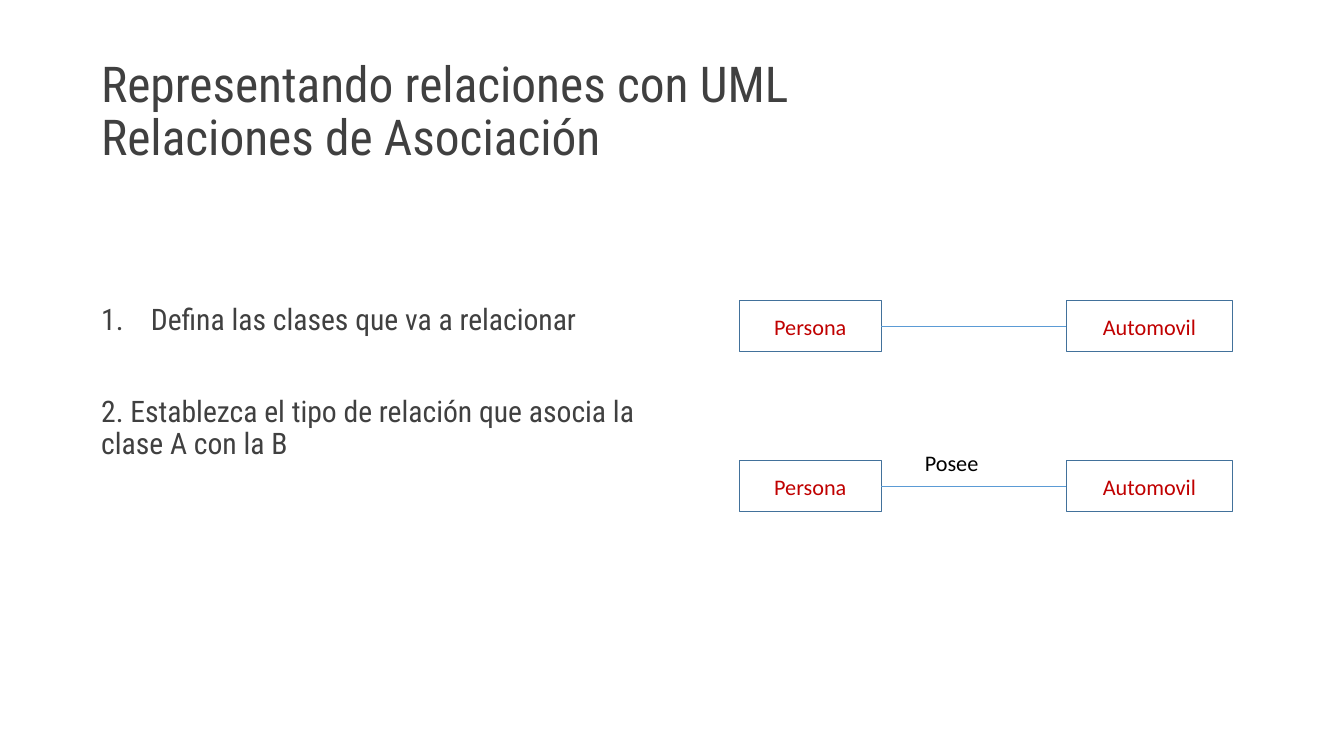
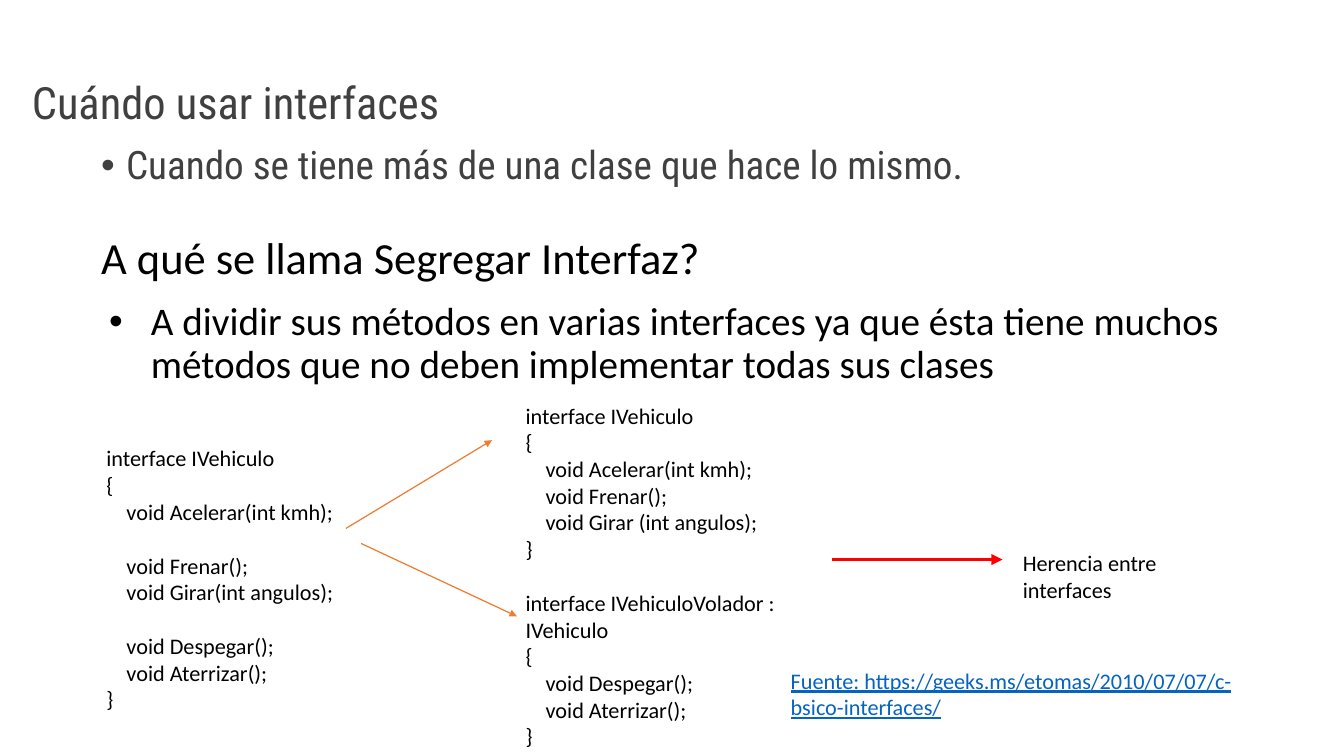
from dataclasses import dataclass

from lxml import etree
from pptx import Presentation
from pptx.dml.color import RGBColor
from pptx.enum.shapes import MSO_CONNECTOR, MSO_SHAPE
from pptx.enum.text import MSO_ANCHOR, PP_ALIGN
from pptx.oxml.ns import qn
from pptx.slide import Slide
from pptx.text.text import TextFrame
from pptx.util import Cm, Pt

RECT = MSO_SHAPE.RECTANGLE
STRAIGHT = MSO_CONNECTOR.STRAIGHT
TOP, MIDDLE = MSO_ANCHOR.TOP, MSO_ANCHOR.MIDDLE
LEFT, CENTER = PP_ALIGN.LEFT, PP_ALIGN.CENTER


@dataclass(frozen=True)
class Theme:
    head: str = "Roboto Condensed"
    body: str = "Calibri"
    gray: str = "404040"
    black: str = "000000"
    white: str = "FFFFFF"
    wine: str = "C00000"
    edge: str = "42719B"
    blue: str = "5B9BD5"
    orange: str = "ED7D31"
    red: str = "FF0000"
    link: str = "0563C1"
    title: float = 40
    topic: float = 36
    point: float = 31.7
    step: float = 24
    small: float = 18
    tight: float = 0.9


THEME = Theme()


@dataclass(frozen=True)
class Style:
    size: float
    font: str = THEME.body
    color: str = THEME.black
    under: bool = False
    space: float = 1.0


@dataclass(frozen=True)
class Para:
    text: str
    gap: float = 0
    mark: str = ""
    indent: float = 0
    hang: float = 0
    align: PP_ALIGN = LEFT


@dataclass(frozen=True)
class Box:
    left: float
    top: float
    width: float
    height: float


@dataclass(frozen=True)
class Line:
    start: tuple[float, float]
    end: tuple[float, float]
    color: str
    width: float
    arrow: bool = True


TITLE = Style(THEME.title, THEME.head, THEME.gray, space=THEME.tight)
TOPIC = Style(THEME.topic, THEME.head, THEME.gray, space=THEME.tight)
POINT = Style(THEME.point, THEME.head, THEME.gray, space=THEME.tight)
STEP = Style(THEME.step, THEME.head, THEME.gray, space=THEME.tight)
ASK = Style(THEME.topic, space=THEME.tight)
REPLY = Style(THEME.point, space=THEME.tight)
SMALL = Style(THEME.small)
NAME = Style(THEME.small, color=THEME.wine)
LINK = Style(THEME.small, color=THEME.link, under=True)


def rgb(code: str) -> RGBColor:
    return RGBColor.from_string(code)


def set_mark(props: etree._Element, mark: str) -> None:
    """Give a paragraph a number ("1.") or a bullet sign."""
    if mark == "1.":
        etree.SubElement(props, qn("a:buFont"), typeface="+mj-lt")
        etree.SubElement(props, qn("a:buAutoNum"), type="arabicPeriod")
    else:
        etree.SubElement(props, qn("a:buFont"), typeface="Arial")
        etree.SubElement(props, qn("a:buChar"), char=mark)


def write(frame: TextFrame, paras: list[Para], style: Style) -> None:
    for i, para in enumerate(paras):
        item = frame.paragraphs[0] if i == 0 else frame.add_paragraph()
        if para.mark:
            props = item._p.get_or_add_pPr()
            props.set("marL", str(Cm(para.indent)))
            props.set("indent", str(-Cm(para.hang)))
            set_mark(props, para.mark)
        item.alignment = para.align
        item.line_spacing = style.space
        item.space_before = Pt(para.gap)
        for j, part in enumerate(para.text.split("\n")):
            if j:
                item.add_line_break()
            run = item.add_run()
            run.text = part
            font = run.font
            font.name, font.size = style.font, Pt(style.size)
            font.color.rgb = rgb(style.color)
            font.underline = style.under


def add_text(slide: Slide, box: Box, paras: list[Para], style: Style,
             anchor: MSO_ANCHOR = TOP, pad: float = 0.13) -> None:
    """Add a text box; pad is the inset above and below the text."""
    shape = slide.shapes.add_textbox(
        Cm(box.left), Cm(box.top), Cm(box.width), Cm(box.height))
    frame = shape.text_frame
    frame.word_wrap = True
    frame.vertical_anchor = anchor
    frame.margin_top = frame.margin_bottom = Cm(pad)
    write(frame, paras, style)


def add_line(slide: Slide, line: Line) -> None:
    ends = [Cm(v) for v in (*line.start, *line.end)]
    shape = slide.shapes.add_connector(STRAIGHT, *ends)
    shape.line.color.rgb = rgb(line.color)
    shape.line.width = Pt(line.width)
    if line.arrow:
        etree.SubElement(shape.line._get_or_add_ln(), qn("a:tailEnd"), type="triangle")
    etree.SubElement(shape._element.spPr, qn("a:effectLst"))


def add_class(slide: Slide, box: Box, name: str) -> None:
    shape = slide.shapes.add_shape(
        RECT, Cm(box.left), Cm(box.top), Cm(box.width), Cm(box.height))
    shape.shadow.inherit = False
    shape.fill.solid()
    shape.fill.fore_color.rgb = rgb(THEME.white)
    shape.line.color.rgb = rgb(THEME.edge)
    shape.line.width = Pt(1)
    shape.text_frame.vertical_anchor = MIDDLE
    write(shape.text_frame, [Para(name, align=CENTER)], NAME)


def add_pair(slide: Slide, top: float) -> None:
    """Draw the two classes and the line that joins them."""
    owner = Box(21.11, top, 4.06, 1.45)
    car = Box(30.45, top, 4.75, 1.45)
    add_class(slide, owner, "Persona")
    add_class(slide, car, "Automovil")
    mid = top + owner.height / 2
    add_line(slide, Line((owner.left + owner.width, mid), (car.left, mid),
                         THEME.blue, 0.75, arrow=False))


def code(*blocks: str) -> list[Para]:
    """Turn blocks of code into paragraphs, one line apart between blocks."""
    return [
        Para(row, gap=21.9 if i and not j else 0)
        for i, block in enumerate(blocks)
        for j, row in enumerate(block.split("\n"))
    ]


def draw_links(slide: Slide) -> None:
    add_text(slide, Box(2.64, 1.14, 33.1, 4.17),
             [Para("Representando relaciones con UML\nRelaciones de Asociación")],
             TITLE, MIDDLE)
    add_text(slide, Box(2.64, 8.59, 16.05, 5.66), [
        Para("Defina las clases que va a relacionar", mark="1.", indent=1.42, hang=1.42),
        Para("2. Establezca el tipo de relación que asocia la clase A con la B", gap=48.5),
    ], STEP)
    for top in (8.59, 13.16):
        add_pair(slide, top)
    add_text(slide, Box(26.16, 12.7, 2.3, 1.02), [Para("Posee")], SMALL)


def draw_split(slide: Slide) -> None:
    add_text(slide, Box(0.66, 0.91, 35.56, 4.17),
             [Para("Cuándo usar interfaces")], TOPIC, MIDDLE)
    add_text(slide, Box(2.64, 4.04, 32.64, 2.57),
             [Para("Cuando se tiene más de una clase que hace lo mismo.",
                   mark="•", indent=0.71, hang=0.71)], POINT)
    add_text(slide, Box(2.64, 5.33, 33.1, 4.17),
             [Para("A qué se llama Segregar Interfaz?")], ASK, MIDDLE, 0.25)
    add_text(slide, Box(2.79, 8.38, 32.64, 3.61),
             [Para("A dividir sus métodos en varias interfaces ya que ésta tiene "
                   "muchos métodos que no deben implementar todas sus clases",
                   mark="•", indent=1.27, hang=1.19)], REPLY, pad=0.25)
    add_text(slide, Box(2.79, 12.57, 7.09, 7), code(
        "interface IVehiculo\n{\n    void Acelerar(int kmh);",
        "    void Frenar();\n    void Girar(int angulos);",
        "    void Despegar();\n    void Aterrizar();\n}",
    ), SMALL)
    add_text(slide, Box(14.76, 11.35, 9.42, 7.44), code(
        "interface IVehiculo\n{\n    void Acelerar(int kmh);\n"
        "    void Frenar();\n    void Girar (int angulos);\n}",
        "interface IVehiculoVolador : IVehiculo\n{\n"
        "    void Despegar();\n    void Aterrizar();\n}",
    ), SMALL)
    for line in (
        Line((9.88, 15.09), (14.05, 12.57), THEME.orange, 1),
        Line((10.31, 15.52), (14.76, 17.6), THEME.orange, 1),
        Line((23.77, 15.98), (28.63, 15.98), THEME.red, 3),
    ):
        add_line(slide, line)
    add_text(slide, Box(28.96, 15.57, 6.07, 0.86),
             [Para("Herencia entre interfaces")], SMALL)
    add_text(slide, Box(22.33, 18.92, 14.53, 0.86),
             [Para("Fuente: https://geeks.ms/etomas/2010/07/07/c-bsico-interfaces/")],
             LINK)


def main() -> None:
    deck = Presentation()
    deck.slide_width, deck.slide_height = Cm(38.38), Cm(21.59)
    blank = deck.slide_layouts[6]
    for draw in (draw_links, draw_split):
        draw(deck.slides.add_slide(blank))
    deck.save("out.pptx")


if __name__ == "__main__":
    main()
